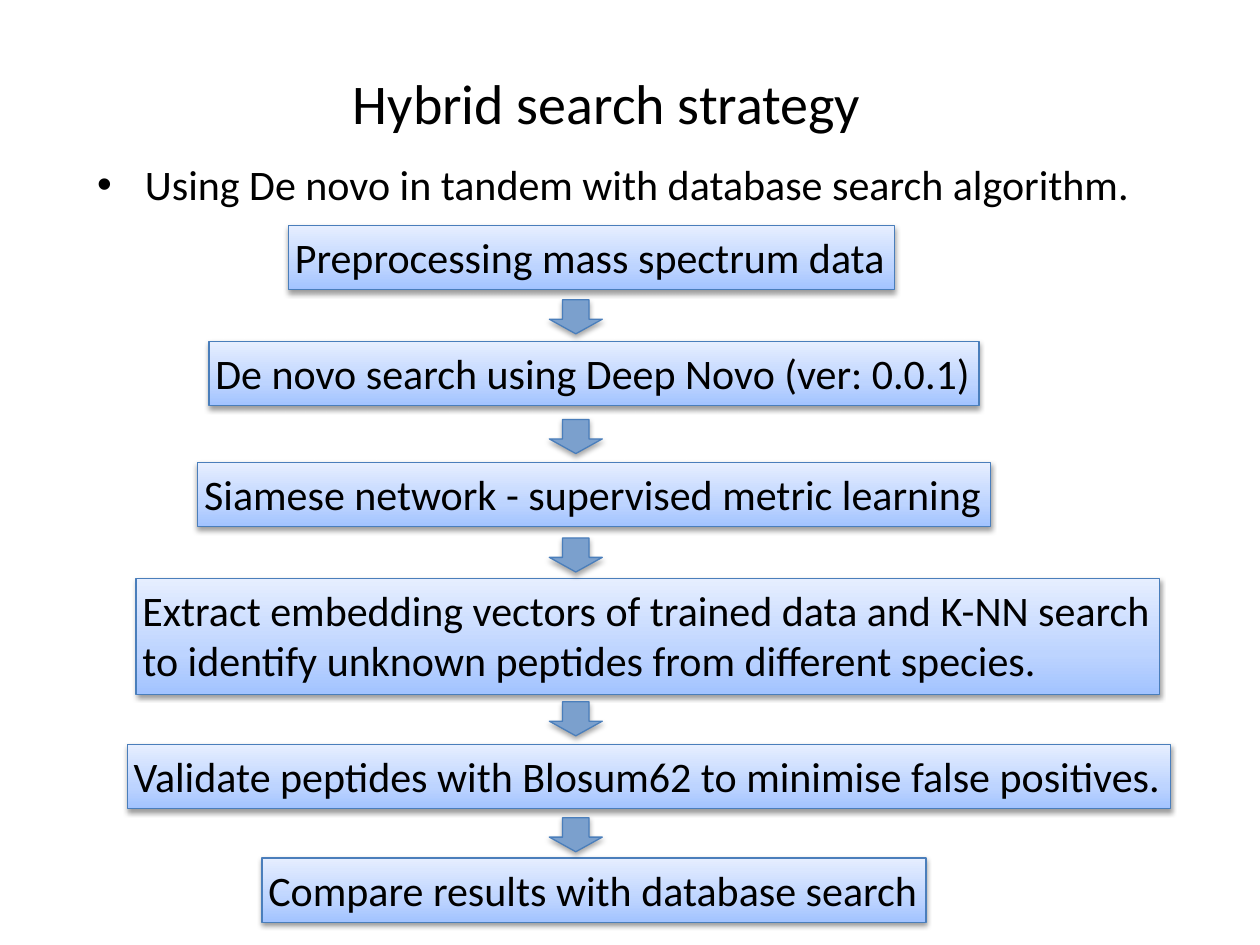
import copy

import pptx
import pptx.dml.color
import pptx.enum.shapes
import pptx.enum.text
import pptx.oxml.ns
import pptx.util
from lxml import etree
from pptx.util import Inches

BLACK = pptx.dml.color.RGBColor(0x00, 0x00, 0x00)
OUTLINE = pptx.dml.color.RGBColor(0x4A, 0x7E, 0xBB)
ARROW_FILL = pptx.dml.color.RGBColor(0x7B, 0xA0, 0xCD)
GRADIENT = [
    (0, pptx.dml.color.RGBColor(0xA2, 0xC3, 0xFF)),
    (0.35, pptx.dml.color.RGBColor(0xBD, 0xD4, 0xFF)),
    (1, pptx.dml.color.RGBColor(0xE6, 0xEE, 0xFF)),
]
qn = pptx.oxml.ns.qn


def format_text(shape, size):
    """Set tight margins and plain black left-aligned Calibri."""
    frame = shape.text_frame
    frame.margin_left = frame.margin_right = Inches(0.05)
    frame.margin_top = frame.margin_bottom = Inches(0.05)
    frame.vertical_anchor = pptx.enum.text.MSO_ANCHOR.TOP
    frame.auto_size = pptx.enum.text.MSO_AUTO_SIZE.SHAPE_TO_FIT_TEXT
    for paragraph in frame.paragraphs:
        paragraph.alignment = pptx.enum.text.PP_ALIGN.LEFT
        paragraph.space_before = pptx.util.Pt(0)
        paragraph.font.name = "Calibri"
        paragraph.font.size = pptx.util.Pt(size)
        paragraph.font.color.rgb = BLACK


def add_outline_and_shadow(shape, distance, opacity):
    shape.line.color.rgb = OUTLINE
    shape.line.width = pptx.util.Pt(0.75)
    shape.shadow.inherit = False
    effects = shape._element.spPr.find(qn("a:effectLst"))
    shadow = etree.SubElement(
        effects, qn("a:outerShdw"), blurRad=str(pptx.util.Pt(3)),
        dist=str(pptx.util.Pt(distance)), dir="5400000", rotWithShape="0")
    color = etree.SubElement(shadow, qn("a:srgbClr"), val="000000")
    etree.SubElement(color, qn("a:alpha"), val=str(opacity * 1000))


presentation = pptx.Presentation()
presentation.slide_width = Inches(10)
presentation.slide_height = Inches(7.5)
slide = presentation.slides.add_slide(presentation.slide_layouts[1])

title = slide.shapes.title
title.left, title.top = Inches(2.35), Inches(0.49)
title.width, title.height = Inches(4.99), Inches(0.64)
title.text_frame.text = "Hybrid search strategy"
format_text(title, 32)
title.text_frame.margin_left = Inches(0.45)

body = slide.placeholders[1]
body.left, body.top = Inches(0.72), Inches(1.21)
body.width, body.height = Inches(8.85), Inches(0.5)
body.text_frame.text = "Using De novo in tandem with database search algorithm."
format_text(body, 24)
bullet_properties = body.text_frame.paragraphs[0]._p.get_or_add_pPr()
bullet_properties.set("marL", str(Inches(0.38)))
bullet_properties.set("indent", str(-Inches(0.38)))

# Text, left, top, width, height
steps = [
    ("Preprocessing mass spectrum data", 2.29, 1.79, 4.81, 0.51),
    ("De novo search using Deep Novo (ver: 0.0.1)", 1.66, 2.71, 6.11, 0.51),
    ("Siamese network - supervised metric learning", 1.57, 3.67, 6.29, 0.51),
    ("Extract embedding vectors of trained data and K-NN search\n"
     "to identify unknown peptides from different species.",
     1.08, 4.59, 8.12, 0.92),
    ("Validate peptides with Blosum62 to minimise false positives.",
     1.01, 5.91, 8.28, 0.51),
    ("Compare results with database search", 2.08, 6.81, 5.27, 0.51),
]
for text, left, top, width, height in steps:
    box = slide.shapes.add_shape(
        pptx.enum.shapes.MSO_SHAPE.RECTANGLE,
        Inches(left), Inches(top), Inches(width), Inches(height))
    box.fill.gradient()
    box.fill.gradient_angle = 90
    stop_list = box._element.spPr.find(qn("a:gradFill")).find(qn("a:gsLst"))
    stop_list.insert(1, copy.deepcopy(stop_list[0]))
    for stop, (position, color) in zip(box.fill.gradient_stops, GRADIENT):
        stop.position = position
        stop.color.rgb = color
    add_outline_and_shadow(box, 1.6, 38)
    box.text_frame.text = text
    box.text_frame.word_wrap = False
    format_text(box, 24)

for top in (2.38, 3.33, 4.27, 5.57, 6.49):
    arrow = slide.shapes.add_shape(
        pptx.enum.shapes.MSO_SHAPE.DOWN_ARROW,
        Inches(4.36), Inches(top), Inches(0.42), Inches(0.27))
    arrow.adjustments[1] = 0.43
    arrow.fill.solid()
    arrow.fill.fore_color.rgb = ARROW_FILL
    add_outline_and_shadow(arrow, 1.8, 35)

presentation.save("out.pptx")
